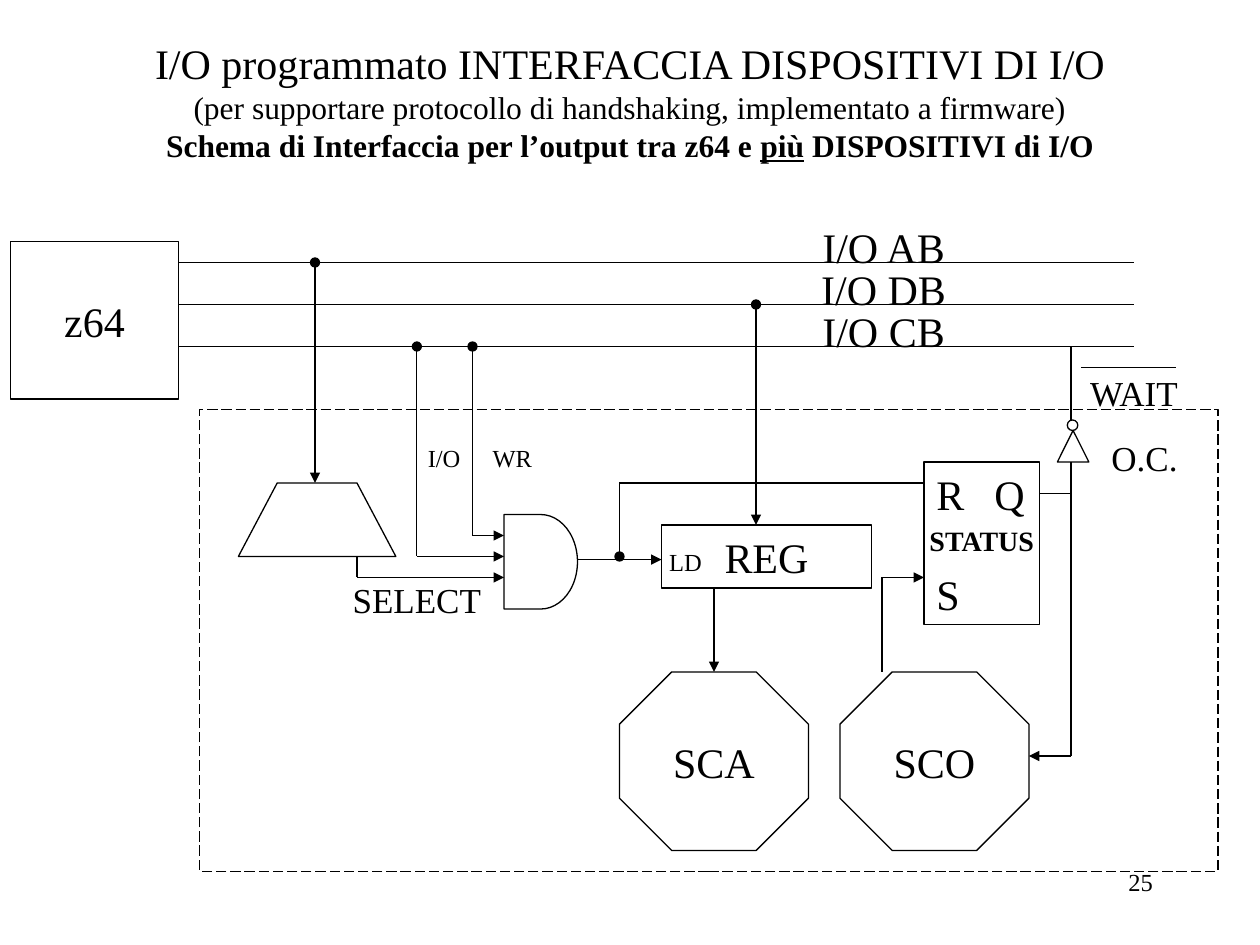
"""Build the slide on the z64 output interface for several I/O devices."""
from itertools import pairwise
from lxml.etree import SubElement
from pptx import Presentation
from pptx.dml.color import RGBColor
from pptx.enum.dml import MSO_LINE
from pptx.enum.shapes import MSO_CONNECTOR, MSO_SHAPE
from pptx.enum.text import MSO_ANCHOR, MSO_AUTO_SIZE, PP_ALIGN
from pptx.oxml.ns import qn
from pptx.util import Inches, Pt

HUES = {"ink": "000000"}
FACE = "Times New Roman"
CELL = 1 / 12
LEFT, MID, RIGHT = PP_ALIGN.LEFT, PP_ALIGN.CENTER, PP_ALIGN.RIGHT
TOP, CORE = MSO_ANCHOR.TOP, MSO_ANCHOR.MIDDLE

TITLE = [
    [("I/O programmato INTERFACCIA DISPOSITIVI DI I/O", {"size": 24})],
    [("(per supportare protocollo di handshaking, implementato a firmware)", {})],
    [("Schema di Interfaccia per l’output tra z64 e ", {"bold": True}),
     ("più", {"bold": True, "line": True}),
     (" DISPOSITIVI di I/O", {"bold": True})],
]
BUSES = {"I/O AB": 25, "I/O DB": 29, "I/O CB": 33}
PARTS = [
    (MSO_SHAPE.RECTANGLE, (1, 23, 16, 15), "z64", {"anchor": CORE}),
    (MSO_SHAPE.FLOWCHART_DELAY, (48, 49, 7, 9), "", {}),
    (MSO_SHAPE.RECTANGLE, (63, 50, 20, 6), "REG", {}),
    (MSO_SHAPE.RECTANGLE, (88, 44, 11, 15.5), "R\tQ\nS",
     {"align": LEFT, "gap": 28.5, "stop": 0.46}),
    (MSO_SHAPE.OCTAGON, (59, 64, 18, 17), "SCA", {"anchor": CORE}),
    (MSO_SHAPE.OCTAGON, (80, 64, 18, 17), "SCO", {"anchor": CORE}),
    (MSO_SHAPE.ISOSCELES_TRIANGLE, (100.7, 41, 3, 3), "", {}),
    (MSO_SHAPE.OVAL, (101.65, 40, 1, 1), "", {}),
]
FRAME = (19, 39, 97, 44)
CODER = [(22.7, 53), (26.4, 46), (34, 46), (37.7, 53)]
WIRES = [
    ([(30, 25), (30, 46)], "oval", "triangle"),
    ([(45, 33), (45, 51), (48, 51)], "oval", "triangle"),
    ([(39.7, 33), (39.7, 53), (48, 53)], "oval", "triangle"),
    ([(34, 53), (34, 55), (48, 55)], None, "triangle"),
    ([(72, 29), (72, 50)], "oval", "triangle"),
    ([(55, 53.3), (63, 53.3)], None, "triangle"),
    ([(59, 53), (59, 46), (88, 46)], "oval", None),
    ([(68, 56), (68, 64)], None, "triangle"),
    ([(84, 64), (84, 55), (88, 55)], None, "triangle"),
    ([(99, 47), (102, 47), (102, 72), (98, 72)], None, "triangle"),
    ([(102, 48), (102, 44)], None, None),
    ([(102, 40), (102, 33)], None, None),
    ([(103, 35), (112, 35)], None, None),
]
LABELS = [
    ("SELECT", (32.4, 54.5, 15.6, 5.3), {"size": 20, "align": LEFT}),
    ("LD", (58.7, 51.5, 13.2, 4), {"size": 14}),
    ("I/O", (38.8, 41.6, 7, 4), {"size": 14}),
    ("WR", (45.3, 41.6, 7, 4), {"size": 14}),
    ("O.C.", (104, 41, 10, 5.3), {"size": 20}),
    ("WAIT", (102, 34.8, 12, 5.3), {"size": 20}),
    ("STATUS", (86.5, 49.3, 14, 4.4), {"size": 16, "bold": True}),
    ("25", (86, 82, 25, 6), {"size": 14, "align": RIGHT}),
]


def ink():
    return RGBColor.from_string(HUES["ink"])


def grid(*nums):
    return [Inches(num * CELL) for num in nums]


def write(shape, text, size=24, bold=False, align=MID, anchor=TOP, gap=0, stop=None):
    frame = shape.text_frame
    frame.word_wrap = True
    frame.auto_size = MSO_AUTO_SIZE.NONE
    frame.vertical_anchor = anchor
    rows = [[(row, {})] for row in text.split("\n")] if isinstance(text, str) else text
    for i, row in enumerate(rows):
        para = frame.add_paragraph() if i else frame.paragraphs[0]
        para.alignment = align
        para.space_before = Pt(gap if i else 0)
        if stop:
            tabs = SubElement(para._p.get_or_add_pPr(), qn("a:tabLst"))
            SubElement(tabs, qn("a:tab"), pos=str(Inches(stop)), algn="l")
        for words, form in row:
            run = para.add_run()
            run.text = words
            font = run.font
            font.name = FACE
            font.size = Pt(form.get("size", size))
            font.bold = form.get("bold", bold)
            font.underline = form.get("line", False)
            font.color.rgb = ink()


def trace(shape):
    shape.line.color.rgb = ink()
    shape.line.width = Pt(0.75)


def draw(shape):
    shape.shadow.inherit = False
    shape.fill.background()
    trace(shape)
    return shape


def wire(shapes, points, head=None, tail=None):
    last = len(points) - 2
    for i, (start, end) in enumerate(pairwise(points)):
        link = shapes.add_connector(MSO_CONNECTOR.STRAIGHT, *grid(*start, *end))
        trace(link)
        line = link.line._get_or_add_ln()
        if head and i == 0:
            SubElement(line, qn("a:headEnd"), type=head)
        if tail and i == last:
            SubElement(line, qn("a:tailEnd"), type=tail)
        SubElement(link._element.spPr, qn("a:effectLst"))


def main():
    deck = Presentation()
    deck.slide_width, deck.slide_height = Inches(10), Inches(7.5)
    slide = deck.slides.add_slide(deck.slide_layouts[5])
    shapes = slide.shapes
    title = shapes.title
    title.left, title.top, title.width, title.height = grid(0, 3, 120, 16.8)
    write(title, TITLE, size=18)

    for kind, spot, text, form in PARTS:
        part = draw(shapes.add_shape(kind, *grid(*spot)))
        if text:
            write(part, text, **form)
    frame = draw(shapes.add_shape(MSO_SHAPE.RECTANGLE, *grid(*FRAME)))
    frame.line.dash_style = MSO_LINE.LONG_DASH
    first, *rest = [grid(*point) for point in CODER]
    path = shapes.build_freeform(*first)
    path.add_line_segments(rest, close=True)
    draw(path.convert_to_shape())

    for name, y in BUSES.items():
        wire(shapes, [(17, y), (108, y)])
        write(shapes.add_textbox(*grid(77, y - 4.5, 14.3, 6)), name)
    for points, head, tail in WIRES:
        wire(shapes, points, head, tail)
    for text, spot, form in LABELS:
        write(shapes.add_textbox(*grid(*spot)), text, **form)
    deck.save("out.pptx")


if __name__ == "__main__":
    main()
